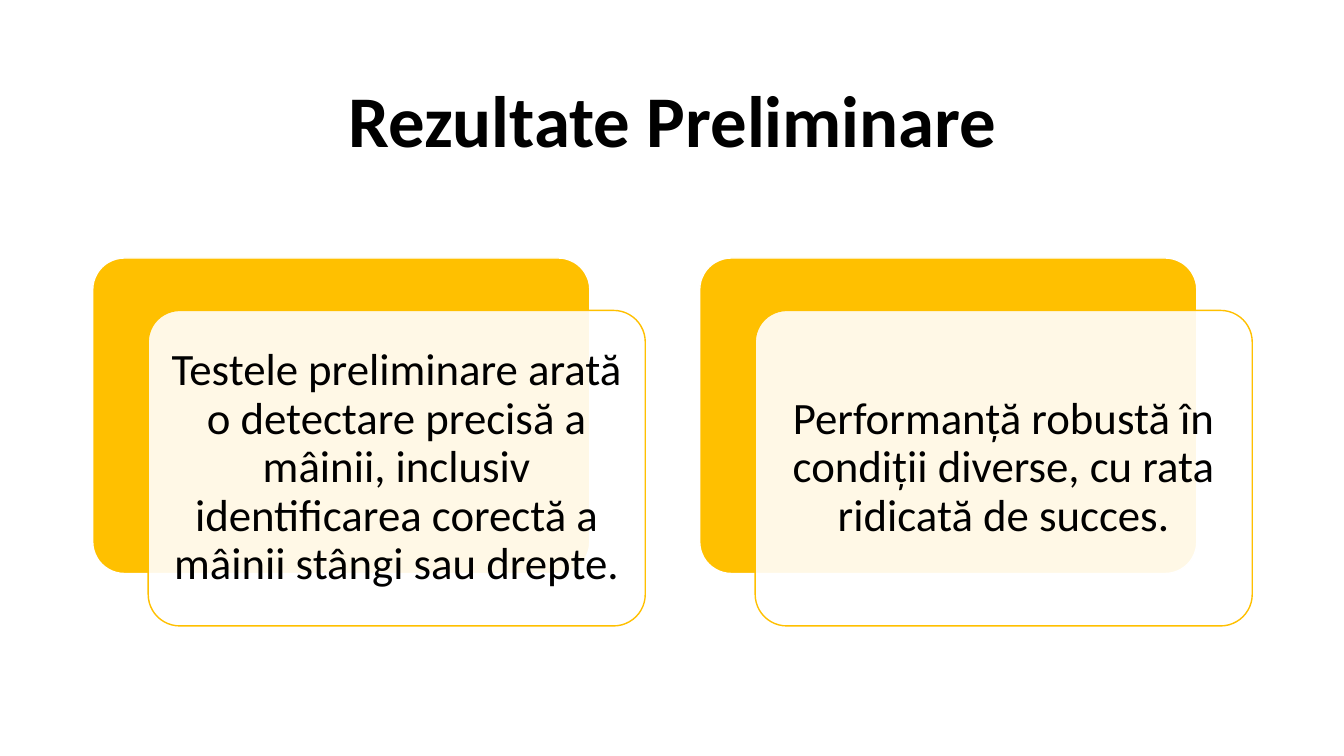
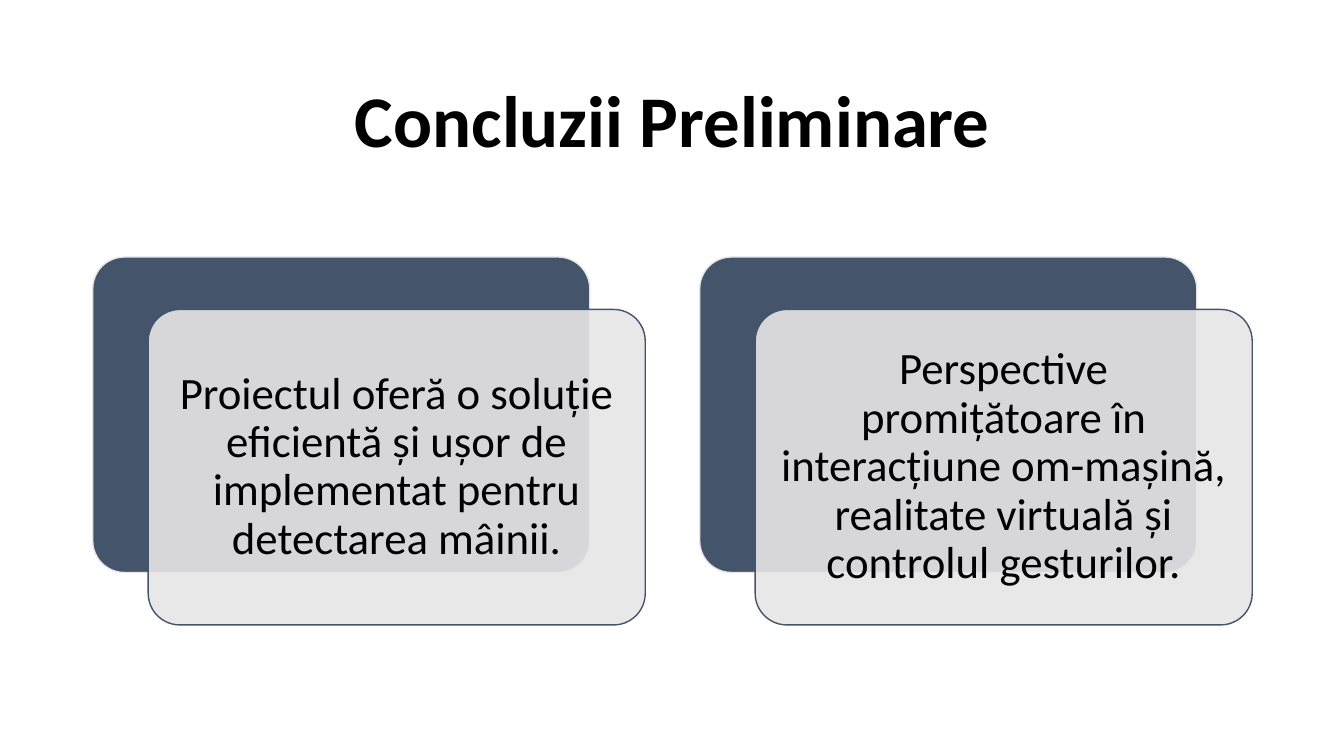
from lxml import etree
from pptx import Presentation
from pptx.dml.color import RGBColor
from pptx.enum.shapes import MSO_SHAPE
from pptx.enum.text import MSO_ANCHOR, MSO_AUTO_SIZE, PP_ALIGN
from pptx.oxml.ns import qn
from pptx.util import Inches, Pt

ROUNDED = MSO_SHAPE.ROUNDED_RECTANGLE
MIDDLE = MSO_ANCHOR.MIDDLE
CENTER = PP_ALIGN.CENTER
NO_FIT = MSO_AUTO_SIZE.NONE

FONT = "Calibri"
COLORS = {
    "text": "000000",
    "white": "FFFFFF",
    "gold": "FFC000",
    "slate": "44546A",
    "mist": "E7E6E6",
}

TITLE_ONLY = 5
MARGIN = 0.92
CARD_W, CARD_H = 4.93, 3.13
CARD_STEP = 6.02
FRONT_DX, FRONT_DY = 0.55, 0.52
INSET = 0.13

# title, strong colour, light colour, top of the cards, card texts
SLIDES = [
    ("Rezultate Preliminare", "gold", "white", 2.56, [
        "Testele preliminare arată o detectare precisă a mâinii, "
        "inclusiv identificarea corectă a mâinii stângi sau drepte.",
        "Performanță robustă în condiții diverse, cu rata ridicată de succes.",
    ]),
    ("Concluzii Preliminare", "slate", "mist", 2.55, [
        "Proiectul oferă o soluție eficientă și ușor de implementat "
        "pentru detectarea mâinii.",
        "Perspective promițătoare în interacțiune om-mașină, "
        "realitate virtuală și controlul gesturilor.",
    ]),
]


def rgb(name):
    return RGBColor.from_string(COLORS[name])


def write_text(tf, text, size, bold=False):
    tf.word_wrap = True
    tf.auto_size = NO_FIT
    tf.vertical_anchor = MIDDLE
    p = tf.paragraphs[0]
    p.text = text
    p.alignment = CENTER
    p.line_spacing = 0.9
    p.font.name = FONT
    p.font.size = Pt(size)
    p.font.bold = bold
    p.font.color.rgb = rgb("text")


def set_title(s, text):
    title = s.shapes.title
    title.left, title.top = Inches(MARGIN), Inches(0.61)
    title.width, title.height = Inches(11.5), Inches(1.24)
    write_text(title.text_frame, text, 52, bold=True)


def set_opacity(shape, percent):
    color = shape.fill._xPr.find(qn("a:solidFill"))[0]
    etree.SubElement(color, qn("a:alpha"), val=str(percent * 1000))


def add_panel(s, x, y, fill, line):
    panel = s.shapes.add_shape(
        ROUNDED, Inches(x), Inches(y), Inches(CARD_W), Inches(CARD_H))
    panel.adjustments[0] = 0.1
    panel.shadow.inherit = False
    panel.fill.solid()
    panel.fill.fore_color.rgb = rgb(fill)
    panel.line.color.rgb = rgb(line)
    panel.line.width = Pt(1)
    return panel


def add_card(s, x, y, text, strong, light):
    """Add a solid panel with an offset, translucent text panel over it."""
    add_panel(s, x, y, strong, light)
    front = add_panel(s, x + FRONT_DX, y + FRONT_DY, light, strong)
    set_opacity(front, 90)
    tf = front.text_frame
    tf.margin_left = tf.margin_right = Inches(INSET)
    tf.margin_top = tf.margin_bottom = Inches(INSET)
    write_text(tf, text, 32)


def main():
    prs = Presentation()
    prs.slide_width, prs.slide_height = Inches(13.33), Inches(7.5)
    for title, strong, light, top, texts in SLIDES:
        s = prs.slides.add_slide(prs.slide_layouts[TITLE_ONLY])
        set_title(s, title)
        for i, text in enumerate(texts):
            add_card(s, MARGIN + i * CARD_STEP, top, text, strong, light)
    prs.save("out.pptx")


if __name__ == "__main__":
    main()
